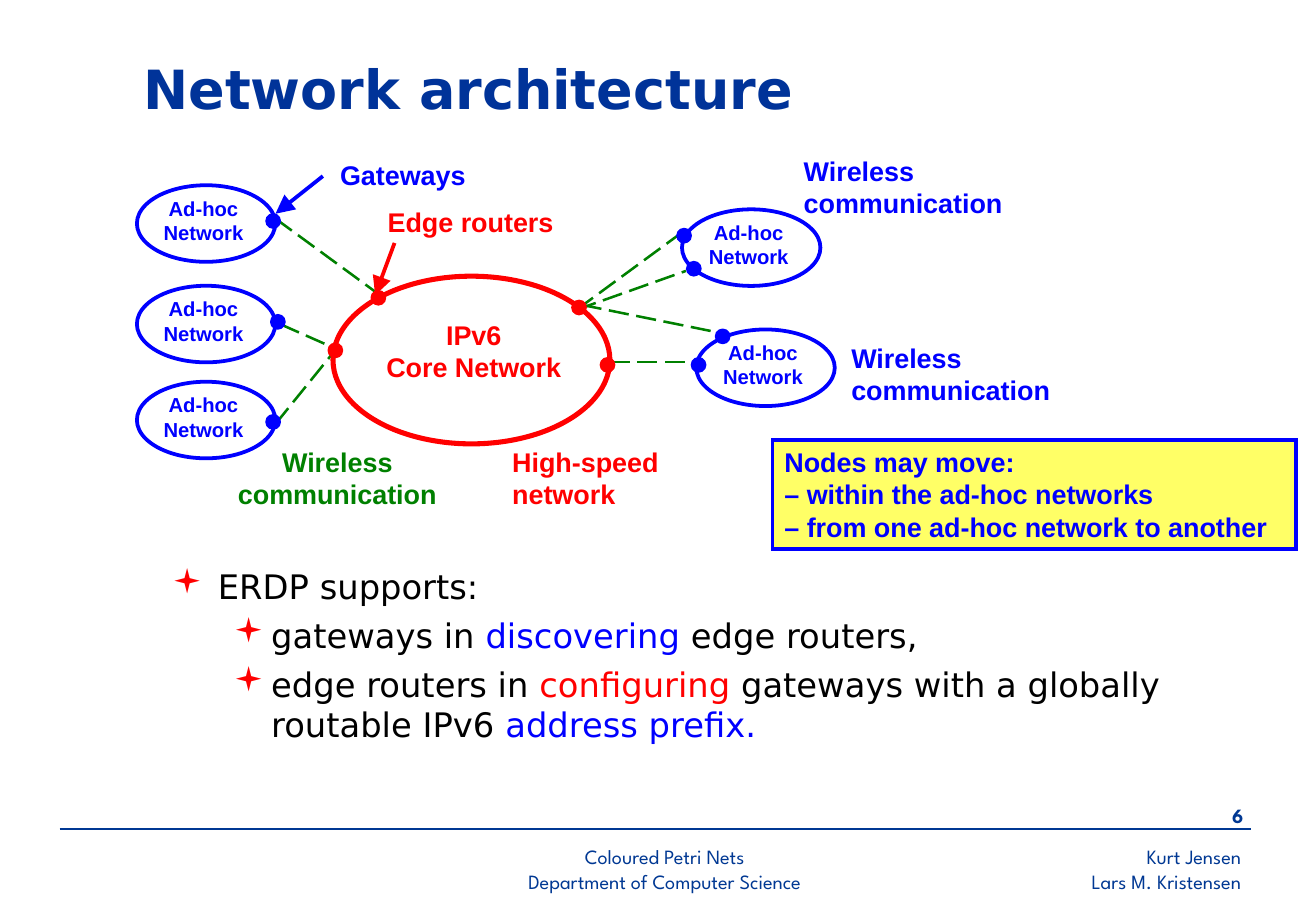
from lxml import etree
from pptx import Presentation
from pptx import util as u
from pptx.dml.color import RGBColor
from pptx.enum import dml, shapes, text
from pptx.oxml.ns import qn

Pt = u.Pt
rgb = RGBColor.from_string
BLUE, RED, GREEN, NAVY = "0000FF", "FF0000", "008000", "003893"
LEFT, CENTER, RIGHT = text.PP_ALIGN.LEFT, text.PP_ALIGN.CENTER, text.PP_ALIGN.RIGHT

deck = Presentation()
deck.slide_width, deck.slide_height = Pt(780.48), Pt(540)
slide = deck.slides.add_slide(deck.slide_layouts[5])


def write(shape, words, size, colour, align=LEFT, font="Arial", bold=True):
    frame = shape.text_frame
    frame.text = words
    frame.word_wrap = True
    frame.auto_size = text.MSO_AUTO_SIZE.NONE
    for paragraph in frame.paragraphs:
        paragraph.alignment = align
        for run in paragraph.runs:
            run.font.name, run.font.size, run.font.bold = font, Pt(size), bold
            run.font.color.rgb = rgb(colour)
    return shape


def draw_line(start, end, colour, width, dashed=False, arrow=False):
    line = slide.shapes.add_connector(
        shapes.MSO_CONNECTOR.STRAIGHT, *[Pt(v) for v in (*start, *end)])
    line.line.color.rgb, line.line.width = rgb(colour), Pt(width)
    if dashed:
        line.line.dash_style = dml.MSO_LINE.LONG_DASH
    properties = line._element.spPr
    if arrow:
        etree.SubElement(properties.find(qn("a:ln")), qn("a:tailEnd"),
                         type="triangle", w="lg", len="lg")
    etree.SubElement(properties, qn("a:effectLst"))


# Title
title = slide.shapes.title
title.left, title.top, title.width, title.height = Pt(77.8), Pt(27.4), Pt(661), Pt(49.7)
write(title, "Network architecture", 32, "003399", font="DejaVu Sans")
title.text_frame.vertical_anchor = text.MSO_ANCHOR.MIDDLE

# Footer
draw_line((35.3, 491.3), (741.8, 491.3), NAVY, 1.5)
for words, left, top, width, height, align, bold in [
    ("6", 693.4, 472.7, 51.1, 24, RIGHT, True),
    ("Coloured Petri Nets\nDepartment of Computer Science", 245.6, 497.2, 297.4, 34, CENTER, False),
    ("Kurt Jensen\nLars M. Kristensen", 500.7, 497.2, 242.6, 36, RIGHT, False),
]:
    footer = slide.shapes.add_textbox(Pt(left), Pt(top), Pt(width), Pt(height))
    write(footer, words, 12, NAVY, align, "League Spartan", bold)

# Wireless links between gateways and edge routers
for start, end in [
    ((163.4, 129.6), (225.4, 175)),
    ((342, 183.6), (406.8, 160.6)),
    ((342, 183.6), (403.9, 138.2)),
    ((166.3, 192.2), (197.3, 205.9)),
    ((163.4, 251.3), (200.2, 205.9)),
    ((344.9, 180.7), (427, 197.3)),
    ((361.4, 214.6), (412.6, 214.6)),
]:
    draw_line(start, end, GREEN, 1.5, dashed=True)

# Ad-hoc networks
for left, top in [(81.2, 109.8), (81.2, 169.4), (81.2, 226.3), (404.5, 124.1), (413, 195.3)]:
    label = slide.shapes.add_textbox(Pt(left + 2.8), Pt(top + 2.9), Pt(73.4), Pt(36))
    write(label, "Ad-hoc Network", 12, BLUE, CENTER)
    ring = slide.shapes.add_shape(
        shapes.MSO_SHAPE.OVAL, Pt(left), Pt(top), Pt(82.1), Pt(45.4))
    ring.shadow.inherit = False
    ring.fill.background()
    ring.line.color.rgb, ring.line.width = rgb(BLUE), Pt(2.25)
    slide.shapes.add_group_shape([label, ring])

# Core network
core = slide.shapes.add_shape(
    shapes.MSO_SHAPE.OVAL, Pt(197.5), Pt(163.7), Pt(164.2), Pt(99.4))
core.shadow.inherit = False
core.fill.background()
core.line.color.rgb, core.line.width = rgb(RED), Pt(3)

# Gateways (blue) and edge routers (red)
gateways = [(401.4, 135.4), (407.2, 155), (424.3, 195.1), (157.7, 126.7),
            (160.5, 186.5), (157.7, 245.8), (410, 212)]
routers = [(220.1, 172.2), (339.1, 178), (356, 212), (194.6, 203.4)]
for colour, places in [(BLUE, gateways), (RED, routers)]:
    for left, top in places:
        node = slide.shapes.add_shape(
            shapes.MSO_SHAPE.OVAL, Pt(left), Pt(top), Pt(8.6), Pt(8.6))
        node.shadow.inherit = False
        node.fill.solid()
        node.fill.fore_color.rgb = node.line.color.rgb = rgb(colour)
        node.line.width = Pt(0.75)

# Diagram labels and their arrows
for words, left, top, width, height, colour, align in [
    ("Gateways", 194.6, 90.3, 96.5, 26.6, BLUE, LEFT),
    ("Edge routers", 222.8, 118.4, 113.8, 26.6, RED, LEFT),
    ("IPv6\vCore Network", 211.5, 185.3, 139, 46.1, RED, CENTER),
    ("Wireless communication", 132, 260.3, 136.1, 46.1, GREEN, CENTER),
    ("High-speed network", 296.7, 260.3, 108, 46.1, RED, LEFT),
    ("Wireless communication", 469.6, 87.8, 136.1, 46.1, BLUE, LEFT),
    ("Wireless communication", 497.8, 199, 136.1, 46.1, BLUE, LEFT),
]:
    label = slide.shapes.add_textbox(Pt(left), Pt(top), Pt(width), Pt(height))
    write(label, words, 16, colour, align)
draw_line((191.5, 104.4), (163.4, 126.7), BLUE, 2.25, arrow=True)
draw_line((234, 144), (222.5, 175), RED, 2.25, arrow=True)

# Note on mobility
mobility = slide.shapes.add_shape(
    shapes.MSO_SHAPE.RECTANGLE, Pt(458.1), Pt(260.6), Pt(310.6), Pt(65))
mobility.shadow.inherit = False
mobility.fill.solid()
mobility.fill.fore_color.rgb = rgb("FFFF66")
mobility.line.color.rgb, mobility.line.width = rgb(BLUE), Pt(2.25)
etree.SubElement(mobility._element.spPr.find(qn("a:ln")), qn("a:miter"), lim="800000")
write(mobility, "Nodes may move:\v– within the ad-hoc networks\v"
      "– from one ad-hoc network to another", 16, BLUE)
mobility.text_frame.vertical_anchor = text.MSO_ANCHOR.TOP

# What ERDP supports
support = slide.shapes.add_textbox(Pt(95), Pt(331.7), Pt(652.3), Pt(118.8)).text_frame
support.word_wrap = True
points = [
    (0, [("ERDP supports:", "000000")]),
    (1, [("gateways in ", "000000"), ("discovering", BLUE), (" edge routers,", "000000")]),
    (1, [("edge routers in ", "000000"), ("configuring", RED),
         (" gateways with a globally routable IPv6 ", "000000"), ("address prefix.", BLUE)]),
]
for number, (level, pieces) in enumerate(points):
    point = support.add_paragraph() if number else support.paragraphs[0]
    point.level = level
    margin, hanging = [(27.2, 27.2), (58.8, 22.3)][level]
    bullet = point._p.get_or_add_pPr()
    bullet.set("marL", str(Pt(margin)))
    bullet.set("indent", str(-Pt(hanging)))
    bullet_colour = etree.SubElement(bullet, qn("a:buClr"))
    etree.SubElement(bullet_colour, qn("a:srgbClr"), val=RED)
    etree.SubElement(bullet, qn("a:buFont"), typeface="Wingdings")
    etree.SubElement(bullet, qn("a:buChar"), char="▪")
    if number:
        point.space_before = Pt(5)
    for words, colour in pieces:
        run = point.add_run()
        run.text = words
        run.font.name, run.font.size = "DejaVu Sans", Pt(20)
        run.font.color.rgb = rgb(colour)

deck.save("out.pptx")
